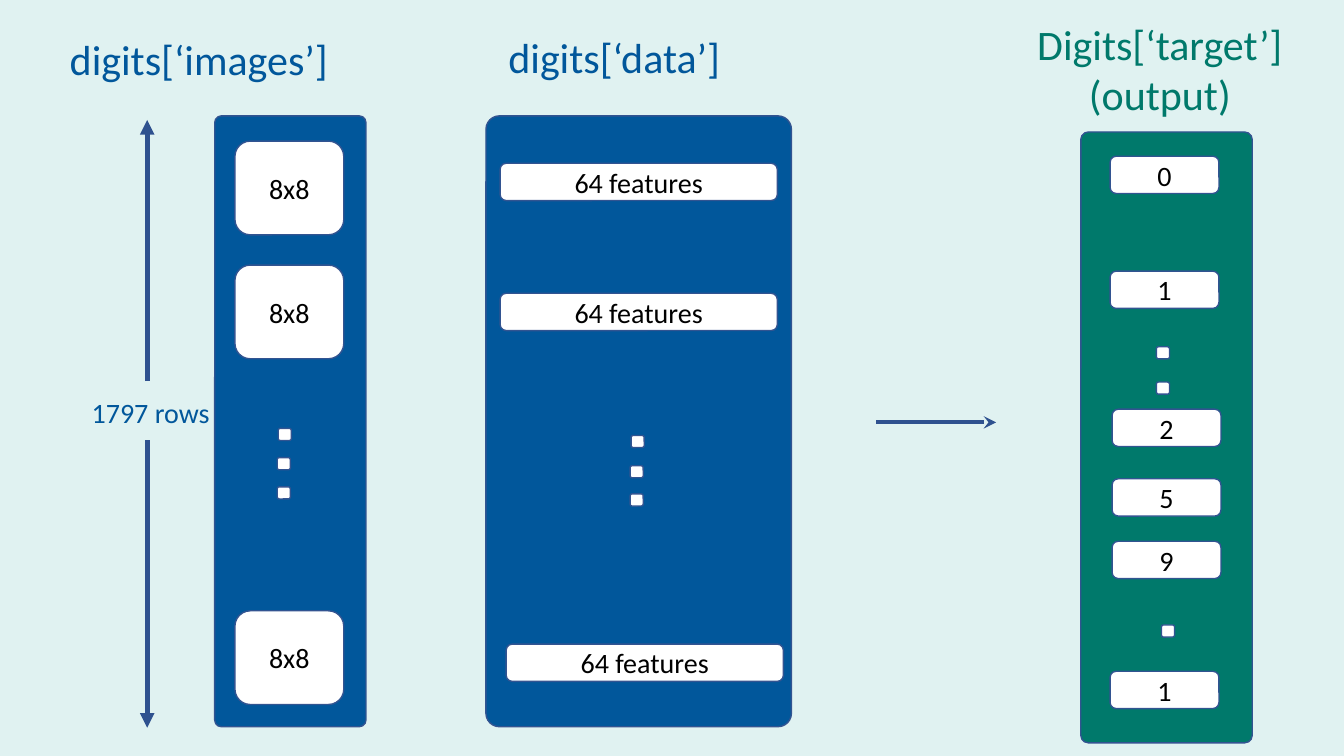
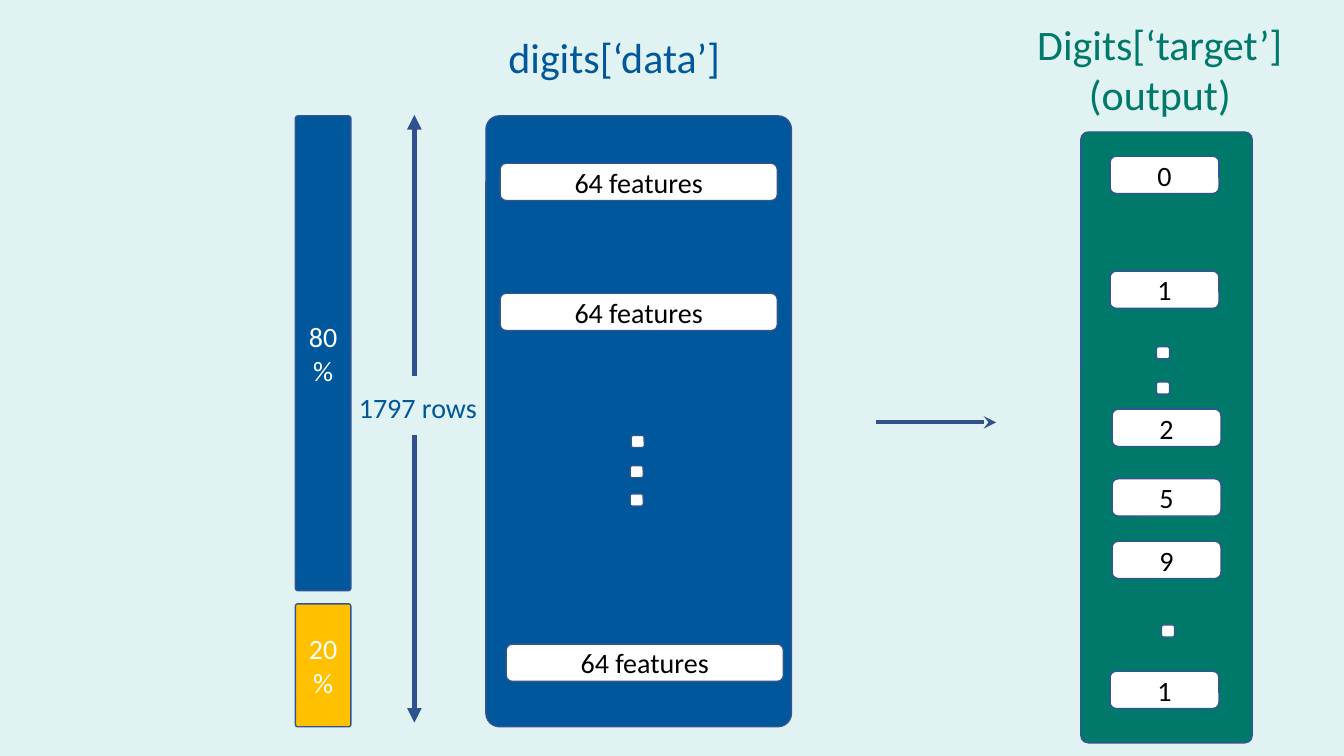
import lxml.etree
import pptx
import pptx.dml.color
import pptx.enum.shapes
import pptx.enum.text
import pptx.oxml.ns
import pptx.util

PX = 9144  # 100 px to the inch
FONT = "Calibri"
COLOURS = {
    "background": "E0F2F1",
    "blue": "01579B",
    "green": "00796B",
    "amber": "FFC000",
    "white": "FFFFFF",
    "black": "000000",
    "border": "325491",
    "arrow": "2F528F",
}
RGB = {name: pptx.dml.color.RGBColor.from_string(code) for name, code in COLOURS.items()}
PANEL_ROUNDING, CARD_ROUNDING = 0.044, 0.164
HEADING_SIZE, LABEL_SIZE = 30, 20


def write(frame, text, size, colour):
    """Fill a text frame with centred paragraphs, one for each line of text."""
    frame.word_wrap = True
    for index, line in enumerate(text.split("\n")):
        para = frame.add_paragraph() if index else frame.paragraphs[0]
        para.alignment = pptx.enum.text.PP_ALIGN.CENTER
        span = para.add_run()
        span.text = line
        span.font.name = FONT
        span.font.size = pptx.util.Pt(size)
        span.font.color.rgb = RGB[colour]


def add_box(page, at, fill, rounding, text="", colour="black"):
    box = page.shapes.add_shape(
        pptx.enum.shapes.MSO_SHAPE.ROUNDED_RECTANGLE, *(length * PX for length in at))
    box.shadow.inherit = False
    box.adjustments[0] = rounding
    box.fill.solid()
    box.fill.fore_color.rgb = RGB[fill]
    box.line.color.rgb = RGB["border"]
    box.line.width = pptx.util.Pt(1)
    if text:
        box.text_frame.vertical_anchor = pptx.enum.text.MSO_ANCHOR.MIDDLE
        write(box.text_frame, text, LABEL_SIZE, colour)


# Shared by both slides: the data and target columns
TITLE = ("digits[‘data’] ", (443, 26, 342, 61))
TARGET_HEADING = ("Digits[‘target’]\n(output)", (1008, 13, 285, 111), HEADING_SIZE, "green")
SHARED_PANELS = [
    ((482, 115, 303, 606), "blue", ""),
    ((1072, 131, 170, 606), "green", ""),
]
SHARED_CARDS = [((left, top, 275, 37), "64 features")
                for left, top in [(496, 162), (496, 291), (502, 639)]]
SHARED_CARDS += [((left, top, 108, 37), digit) for left, top, digit in [
    (1101, 155, "0"), (1101, 269, "1"), (1103, 406, "2"),
    (1103, 475, "5"), (1103, 537, "9"), (1101, 666, "1")]]
SHARED_DOTS = [(626, 432), (625, 462), (625, 490), (1147, 344), (1147, 379), (1152, 620)]

SLIDES = [
    {
        "rows_at": (146, 119),
        "headings": [("digits[‘images’] ", (31, 28, 342, 61), HEADING_SIZE, "blue")],
        "panels": [((213, 115, 150, 606), "blue", "")],
        "cards": [((233, top, 108, 93), "8x8") for top in (140, 263, 606)],
        "dots": [(276, 425), (275, 454), (275, 483)],
    },
    {
        "rows_at": (411, 114),
        "headings": [],
        "panels": [((293, 115, 55, 471), "blue", "80%"),
                   ((293, 599, 55, 122), "amber", "20%")],
        "cards": [],
        "dots": [],
    },
]

deck = pptx.Presentation()
deck.slide_width, deck.slide_height = 1333 * PX, 750 * PX
deck.slide_master.background.fill.solid()
deck.slide_master.background.fill.fore_color.rgb = RGB["background"]
title_only = deck.slide_layouts.get_by_name("Title Only")

for slide in SLIDES:
    page = deck.slides.add_slide(title_only)

    title_text, title_at = TITLE
    title = page.shapes.title
    title.left, title.top, title.width, title.height = (length * PX for length in title_at)
    title.text_frame.auto_size = pptx.enum.text.MSO_AUTO_SIZE.NONE
    title.text_frame.vertical_anchor = pptx.enum.text.MSO_ANCHOR.TOP
    write(title.text_frame, title_text, HEADING_SIZE, "blue")

    for at, fill, text in SHARED_PANELS + slide["panels"]:
        add_box(page, at, fill, PANEL_ROUNDING, text, "white")
    for at, text in SHARED_CARDS + slide["cards"]:
        add_box(page, at, "white", CARD_ROUNDING, text)
    for left, top in SHARED_DOTS + slide["dots"]:
        add_box(page, (left, top, 13, 12), "white", CARD_ROUNDING)

    # The row count sits between an upward and a downward arrow
    x, top = slide["rows_at"]
    rows_label = ("1797 rows", (x - 73, top + 268, 153, 44), LABEL_SIZE, "blue")
    for text, at, size, colour in [TARGET_HEADING, rows_label] + slide["headings"]:
        label = page.shapes.add_textbox(*(length * PX for length in at))
        write(label.text_frame, text, size, colour)
        label.text_frame.auto_size = pptx.enum.text.MSO_AUTO_SIZE.SHAPE_TO_FIT_TEXT

    for ends, width, head in [
        ((x, top + 259, x, top), 3.5, "triangle"),
        ((x, top + 318, x, top + 603), 3.5, "triangle"),
        ((869, 419, 988, 419), 3, "stealth"),
    ]:
        arrow = page.shapes.add_connector(
            pptx.enum.shapes.MSO_CONNECTOR.STRAIGHT, *(length * PX for length in ends))
        arrow.line.color.rgb = RGB["arrow"]
        arrow.line.width = pptx.util.Pt(width)
        lxml.etree.SubElement(arrow.get_or_add_ln(), pptx.oxml.ns.qn("a:tailEnd"), type=head)
        lxml.etree.SubElement(arrow._element.spPr, pptx.oxml.ns.qn("a:effectLst"))

deck.save("out.pptx")
